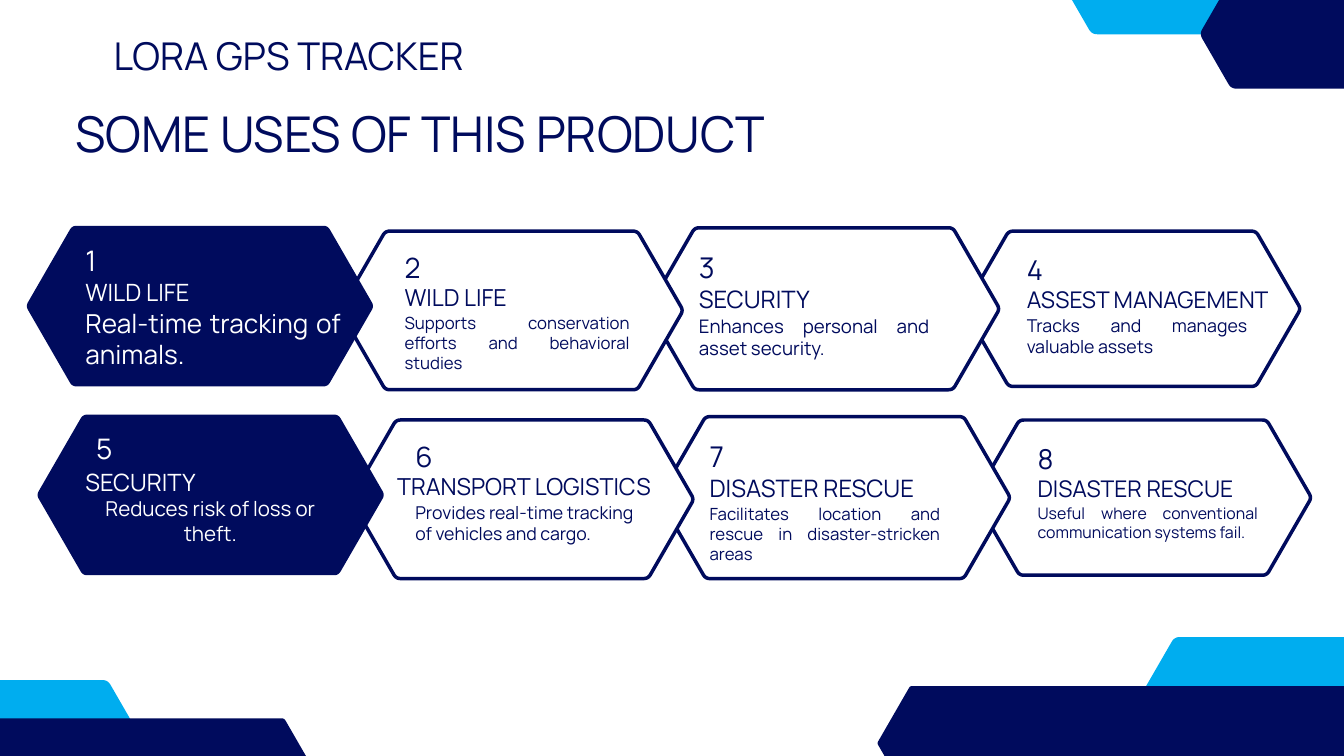
from dataclasses import dataclass
from math import sqrt

from pptx import Presentation
from pptx.dml.color import RGBColor
from pptx.enum.text import MSO_ANCHOR, PP_ALIGN
from pptx.util import Inches, Pt

LEFT, CENTER, JUSTIFY = PP_ALIGN.LEFT, PP_ALIGN.CENTER, PP_ALIGN.JUSTIFY


@dataclass(frozen=True)
class Theme:
    font: str = "Manrope"
    navy: RGBColor = RGBColor(0x00, 0x0B, 0x5D)
    cyan: RGBColor = RGBColor(0x00, 0xAD, 0xEF)
    white: RGBColor = RGBColor(0xFF, 0xFF, 0xFF)
    product_size: float = 41
    title_size: float = 52.8
    outline: float = 3.75
    card_leading: float = 1.4
    body_leading: float = 1.2


THEME = Theme()

PRODUCT = "LORA GPS TRACKER"
TITLE = "SOME USES OF THIS PRODUCT"

# Per row: number, heading, body, body size, body alignment, heading shift
USES = [
    [
        ("1", "WILD LIFE", "Real-time tracking of animals.", 28, JUSTIFY, (0, 0)),
        ("2", "WILD LIFE", "Supports conservation efforts and behavioral studies",
         18, JUSTIFY, (0, 0)),
        ("3", "SECURITY", "Enhances personal and asset security.", 20, JUSTIFY, (0, 0)),
        ("4", "ASSEST MANAGEMENT", "Tracks and manages valuable assets",
         19, JUSTIFY, (0, 0)),
    ],
    [
        ("5", "SECURITY", "Reduces risk of loss or theft.", 22, CENTER, (-0.16, 0.02)),
        ("6", "TRANSPORT LOGISTICS", "Provides real-time tracking of vehicles and cargo.",
         19, LEFT, (-0.27, 0)),
        ("7", "DISASTER RESCUE", "Facilitates location and rescue in disaster-stricken areas",
         18, JUSTIFY, (0, 0)),
        ("8", "DISASTER RESCUE", "Useful where conventional communication systems fail.",
         17, JUSTIFY, (0, 0)),
    ],
]
ROW_SHIFT = (0.16, 2.81)

# Each column: hexagon box, text left, tops of number, heading and body,
# body width, number and heading sizes, fill, text colour
COLUMNS = [
    dict(box=(0.4, 3.36, 5.15, 2.39), text_left=1.27, tops=(3.53, 4.06, 4.57),
         body_width=3.8, sizes=(30.3, 25.5), fill=THEME.navy, ink=THEME.white),
    dict(box=(5.07, 3.44, 5.08, 2.36), text_left=6.02, tops=(3.65, 4.15, 4.65),
         body_width=3.35, sizes=(29.9, 25.1), fill=THEME.white, ink=THEME.navy),
    dict(box=(9.66, 3.39, 5.2, 2.41), text_left=10.4, tops=(3.64, 4.16, 4.68),
         body_width=3.43, sizes=(30.6, 25.7), fill=THEME.white, ink=THEME.navy),
    dict(box=(14.36, 3.44, 4.98, 2.31), text_left=15.28, tops=(3.69, 4.18, 4.68),
         body_width=3.28, sizes=(29.3, 24.6), fill=None, ink=THEME.navy),
]
CENTERED_BODY_WIDTH = 3.4
HEADING_WIDTH = 3.99
CARD_CORNER = 0.065

# Corner decorations: box, corner length, colour
DECORATIONS = [
    ((16.81, 9.48, 4.55, 2.38), 0.08, THEME.cyan),
    ((13.06, 10.21, 8.89, 1.7), 0.03, THEME.navy),
    ((-2.28, 10.12, 4.55, 2.38), 0.08, THEME.cyan),
    ((15.58, -1.87, 4.55, 2.38), 0.08, THEME.cyan),
    ((-1.1, 10.69, 5.79, 1.63), 0.04, THEME.navy),
    ((17.87, -0.31, 2.72, 1.63), 0.08, THEME.navy),
]


def rounded_outline(corners, cut, steps=6):
    """Replace each corner by a quadratic curve starting `cut` inches away."""
    points = []
    for i, (x, y) in enumerate(corners):
        ends = []
        for nx, ny in (corners[i - 1], corners[(i + 1) % len(corners)]):
            share = cut / sqrt((nx - x) ** 2 + (ny - y) ** 2)
            ends.append((x + (nx - x) * share, y + (ny - y) * share))
        (ax, ay), (bx, by) = ends
        for step in range(steps + 1):
            t = step / steps
            a, c, b = (1 - t) ** 2, 2 * t * (1 - t), t ** 2
            points.append((a * ax + c * x + b * bx, a * ay + c * y + b * by))
    return points


def add_hexagon(slide, box, cut, fill, line=None):
    """Draw a 60-degree hexagon whose rounded side tips touch the box."""
    left, top, width, height = box
    tip_left, tip_right = left - cut / 4, left + width + cut / 4
    slant = height / 2 / sqrt(3)
    middle, bottom = top + height / 2, top + height
    corners = [
        (tip_left, middle), (tip_left + slant, top), (tip_right - slant, top),
        (tip_right, middle), (tip_right - slant, bottom), (tip_left + slant, bottom),
    ]
    points = [(Inches(x), Inches(y)) for x, y in rounded_outline(corners, cut)]
    builder = slide.shapes.build_freeform(*points[0])
    builder.add_line_segments(points[1:], close=True)
    hexagon = builder.convert_to_shape()
    hexagon.shadow.inherit = False
    if fill is None:
        hexagon.fill.background()
    else:
        hexagon.fill.solid()
        hexagon.fill.fore_color.rgb = fill
    if line is None:
        hexagon.line.fill.background()
    else:
        hexagon.line.color.rgb = line
        hexagon.line.width = Pt(THEME.outline)


def add_text(slide, text, left, top, width, *, size, color=THEME.navy,
             leading=1.0, align=LEFT, lines=1):
    height = size * leading * lines / 72
    box = slide.shapes.add_textbox(Inches(left), Inches(top), Inches(width), Inches(height))
    frame = box.text_frame
    frame.word_wrap = True
    frame.vertical_anchor = MSO_ANCHOR.TOP
    frame.margin_left = frame.margin_right = frame.margin_top = frame.margin_bottom = 0
    paragraph = frame.paragraphs[0]
    paragraph.alignment = align
    paragraph.line_spacing = Pt(round(size * leading, 1))
    run = paragraph.add_run()
    run.text = text
    run.font.name = THEME.font
    run.font.size = Pt(size)
    run.font.color.rgb = color


def add_card(slide, use, column, dx, dy):
    number, heading, body, body_size, body_align, (heading_dx, heading_dy) = use
    left, top, width, height = column["box"]
    outline = None if column["fill"] == THEME.navy else THEME.navy
    add_hexagon(slide, (left + dx, top + dy, width, height), CARD_CORNER,
                column["fill"], outline)

    text_left = column["text_left"] + dx
    number_top, heading_top, body_top = (y + dy for y in column["tops"])
    number_size, heading_size = column["sizes"]
    ink = column["ink"]
    body_width = CENTERED_BODY_WIDTH if body_align == CENTER else column["body_width"]
    add_text(slide, number, text_left, number_top, 0.95, size=number_size,
             color=ink, leading=THEME.card_leading)
    add_text(slide, heading, text_left + heading_dx, heading_top + heading_dy,
             HEADING_WIDTH, size=heading_size, color=ink, leading=THEME.card_leading)
    add_text(slide, body, text_left, body_top, body_width, size=body_size, color=ink,
             leading=THEME.body_leading, align=body_align, lines=2)


def main():
    deck = Presentation()
    deck.slide_width, deck.slide_height = Inches(20), Inches(11.25)
    slide = deck.slides.add_slide(deck.slide_layouts[6])

    for box, cut, color in DECORATIONS:
        add_hexagon(slide, box, cut, color)
    add_text(slide, PRODUCT, 1.69, 0.59, 6.22, size=THEME.product_size)
    add_text(slide, TITLE, 1.12, 1.69, 10.7, size=THEME.title_size)

    for row, uses in enumerate(USES):
        dx, dy = (row * shift for shift in ROW_SHIFT)
        # Right to left, so each card overlaps the next one
        for use, column in reversed(list(zip(uses, COLUMNS))):
            add_card(slide, use, column, dx, dy)

    deck.save("out.pptx")


if __name__ == "__main__":
    main()
